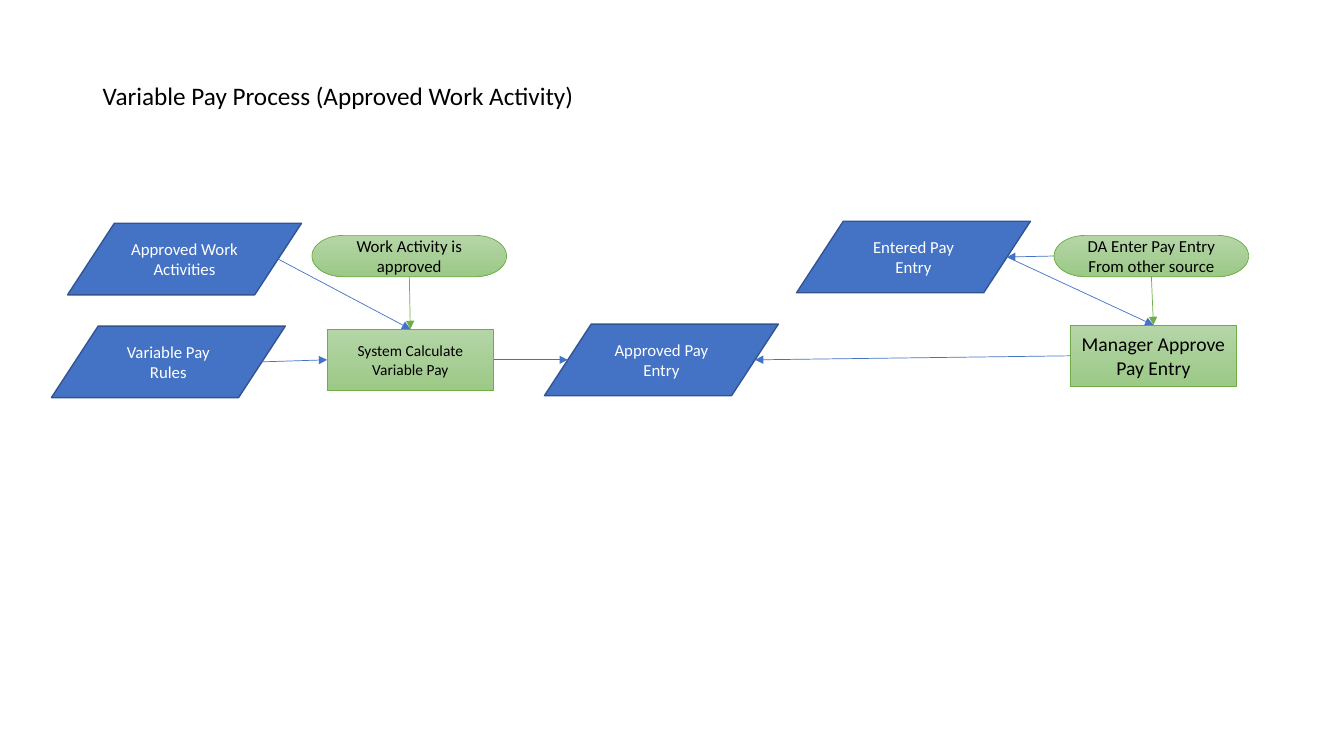
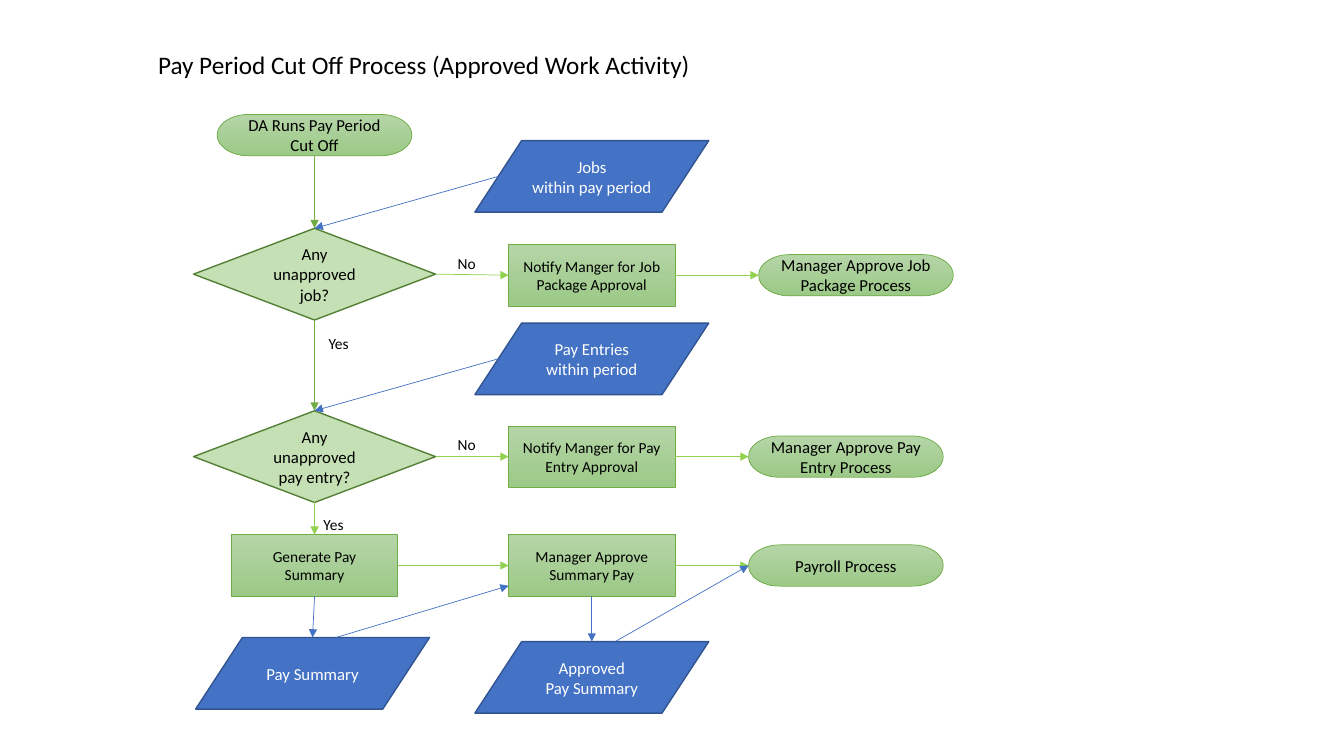
from lxml import etree
from pptx import Presentation
from pptx.dml.color import RGBColor
from pptx.enum import shapes, text
from pptx.oxml import ns
from pptx.util import Inches, Pt

FONT = "Calibri"
BLACK, WHITE, BLUE, GREEN, LIME = "000000", "FFFFFF", "4472C4", "70AD47", "92D050"
GREEN_GRADIENT = ("B5D5A7", "9CC987")

# Connection sites as (index, x fraction, y fraction)
SIDES = {"top": (0, 0.5, 0), "left": (1, 0, 0.5), "bottom": (2, 0.5, 1), "right": (3, 1, 0.5)}
SLANTED = {"top right": (0, 0.6, 0), "top": (1, 0.5, 0), "left": (2, 0.1, 0.5),
           "bottom": (4, 0.5, 1), "right": (5, 0.9, 0.5)}

# Kind: preset, width, height, fill, line colour, line width, text colour, text size, sites
PRESET = shapes.MSO_SHAPE
KINDS = {
    "event": (PRESET.FLOWCHART_TERMINATOR, 1.93, 0.41, GREEN_GRADIENT, GREEN, 0.5, BLACK, 12, SIDES),
    "step": (PRESET.FLOWCHART_PROCESS, 1.65, 0.61, GREEN_GRADIENT, GREEN, 0.5, BLACK, 11, SIDES),
    "choice": (PRESET.FLOWCHART_DECISION, 2.4, 0.91, "C5E0B4", "538035", 1, BLACK, 12, SIDES),
    "data": (PRESET.FLOWCHART_DATA, 2.32, 0.71, BLUE, "325491", 1, WHITE, 12, SLANTED),
}

# Columns and rows of the cut-off chart (centre lines)
COL1, COL2, COL3 = 3.12, 5.87, 8.39
JOB_ROW, ENTRY_ROW, SUMMARY_ROW = 2.72, 4.53, 5.61

# Nodes: key -> (kind, centre x, centre y, text[, text size])
# Links: (from, side, to, side, colour)
SLIDES = [
    {
        "title": (0.92, 0.75, 4.92, "Variable Pay Process (Approved Work Activity)"),
        "nodes": {
            "approved": ("event", 4.06, 2.54, "Work Activity is approved"),
            "calculate": ("step", 4.07, 3.57, "System Calculate Variable Pay"),
            "manager": ("step", 11.44, 3.53, "Manager Approve Pay Entry", 14),
            "rules": ("data", 1.67, 3.59, "Variable Pay Rules"),
            "approved entry": ("data", 6.56, 3.57, "Approved Pay Entry"),
            "activities": ("data", 1.83, 2.57, "Approved Work Activities"),
            "enter": ("event", 11.42, 2.54, "DA Enter Pay Entry From other source"),
            "entered": ("data", 9.06, 2.55, "Entered Pay Entry"),
        },
        "links": [
            ("approved", "bottom", "calculate", "top", GREEN),
            ("enter", "bottom", "manager", "top", GREEN),
            ("rules", "right", "calculate", "left", BLUE),
            ("enter", "left", "entered", "right", BLUE),
            ("activities", "right", "calculate", "top", BLUE),
            ("calculate", "right", "approved entry", "left", BLUE),
            ("manager", "left", "approved entry", "right", BLUE),
            ("entered", "right", "manager", "top", BLUE),
        ],
        "labels": [],
    },
    {
        "title": (1.47, 0.44, 5.54, "Pay Period Cut Off Process (Approved Work Activity)"),
        "nodes": {
            "run": ("event", COL1, 1.34, "DA Runs Pay Period Cut Off"),
            "jobs": ("data", COL2, 1.75, "Jobs\nwithin pay period"),
            "job?": ("choice", COL1, JOB_ROW, "Any unapproved job?"),
            "notify job": ("step", COL2, JOB_ROW + 0.01, "Notify Manger for Job Package Approval"),
            "approve job": ("event", COL3 + 0.1, JOB_ROW + 0.01, "Manager Approve Job Package Process"),
            "entries": ("data", COL2, 3.56, "Pay Entries within period"),
            "entry?": ("choice", COL1, ENTRY_ROW, "Any unapproved pay entry?"),
            "notify entry": ("step", COL2, ENTRY_ROW, "Notify Manger for Pay Entry Approval"),
            "approve entry": ("event", COL3, ENTRY_ROW, "Manager Approve Pay Entry Process"),
            "generate": ("step", COL1, SUMMARY_ROW, "Generate Pay Summary"),
            "approve pay": ("step", COL2, SUMMARY_ROW, "Manager Approve Summary Pay"),
            "payroll": ("event", COL3, SUMMARY_ROW, "Payroll Process"),
            "summary": ("data", COL1 - 0.02, 6.68, "Pay Summary"),
            "approved pay": ("data", COL2, 6.72, "Approved\nPay Summary"),
        },
        "links": [
            ("run", "bottom", "job?", "top", GREEN),
            ("jobs", "left", "job?", "top", BLUE),
            ("job?", "right", "notify job", "left", LIME),
            ("notify job", "right", "approve job", "left", LIME),
            ("job?", "bottom", "entry?", "top", GREEN),
            ("entries", "left", "entry?", "top", BLUE),
            ("entry?", "right", "notify entry", "left", LIME),
            ("notify entry", "right", "approve entry", "left", LIME),
            ("entry?", "bottom", "generate", "top", LIME),
            ("generate", "right", "approve pay", "left", LIME),
            ("approve pay", "right", "payroll", "left", LIME),
            ("generate", "bottom", "summary", "top", BLUE),
            ("summary", "top right", "approve pay", (0, 0.83), BLUE),
            ("approve pay", "bottom", "approved pay", "top", BLUE),
            ("approved pay", "top right", "payroll", "left", BLUE),
        ],
        "labels": [(4.44, 2.47, 0.38, "No"), (4.44, 4.27, 0.38, "No"),
                   (3.16, 3.27, 0.41, "Yes"), (3.11, 5.06, 0.41, "Yes")],
    },
]


def rgb(value):
    return RGBColor.from_string(value)


def write(tf, content, size, color, align):
    for i, line in enumerate(content.split("\n")):
        p = tf.paragraphs[0] if i == 0 else tf.add_paragraph()
        p.alignment = align
        r = p.add_run()
        r.text = line
        r.font.name, r.font.size = FONT, Pt(size)
        r.font.color.rgb = rgb(color)


def add_label(s, left, top, width, content, size, height):
    tf = s.shapes.add_textbox(Inches(left), Inches(top), Inches(width), Inches(height)).text_frame
    tf.word_wrap = False
    tf.auto_size = text.MSO_AUTO_SIZE.SHAPE_TO_FIT_TEXT
    write(tf, content, size, BLACK, text.PP_ALIGN.LEFT)


def add_node(s, kind, x, y, content, own_size=None):
    preset, w, h, fill, line, weight, color, size, _ = KINDS[kind]
    sp = s.shapes.add_shape(preset, Inches(x - w / 2), Inches(y - h / 2), Inches(w), Inches(h))
    sp.shadow.inherit = False
    if isinstance(fill, tuple):
        sp.fill.gradient()
        sp.fill.gradient_angle = 270
        for stop, stop_color in zip(sp.fill.gradient_stops, fill):
            stop.color.rgb = rgb(stop_color)
    else:
        sp.fill.solid()
        sp.fill.fore_color.rgb = rgb(fill)
    sp.line.color.rgb = rgb(line)
    sp.line.width = Pt(weight)
    sp.text_frame.word_wrap = True
    sp.text_frame.vertical_anchor = text.MSO_ANCHOR.MIDDLE
    write(sp.text_frame, content, own_size or size, color, text.PP_ALIGN.CENTER)
    return sp


def find_site(sp, kind, side):
    """Return the site index (None for a free point) and its place on the slide."""
    index, fx, fy = (None, *side) if isinstance(side, tuple) else KINDS[kind][-1][side]
    return index, int(sp.left + fx * sp.width), int(sp.top + fy * sp.height)


def add_link(s, start, end, color):
    (_, x1, y1), (_, x2, y2) = sites = [find_site(*start), find_site(*end)]
    cn = s.shapes.add_connector(shapes.MSO_CONNECTOR.STRAIGHT, x1, y1, x2, y2)
    cn.line.color.rgb = rgb(color)
    cn.line.width = Pt(0.5)
    # Arrowhead, no shadow, and glue to the nodes
    etree.SubElement(cn.line._get_or_add_ln(), ns.qn("a:tailEnd"), type="triangle")
    etree.SubElement(cn._element.spPr, ns.qn("a:effectLst"))
    glue = cn._element.find(".//" + ns.qn("p:cNvCxnSpPr"))
    for tag, (sp, *_), (index, *_) in zip(("a:stCxn", "a:endCxn"), (start, end), sites):
        if index is not None:
            etree.SubElement(glue, ns.qn(tag), id=str(sp.shape_id), idx=str(index))


def build_slide(prs, chart):
    s = prs.slides.add_slide(prs.slide_layouts[6])
    add_label(s, *chart["title"], size=18, height=0.4)
    nodes = {key: (add_node(s, *node), node[0]) for key, node in chart["nodes"].items()}
    for start, start_side, end, end_side, color in chart["links"]:
        add_link(s, (*nodes[start], start_side), (*nodes[end], end_side), color)
    for label in chart["labels"]:
        add_label(s, *label, size=11, height=0.29)


def main():
    prs = Presentation()
    prs.slide_width, prs.slide_height = Inches(13.33), Inches(7.5)
    for chart in SLIDES:
        build_slide(prs, chart)
    prs.save("out.pptx")


if __name__ == "__main__":
    main()
